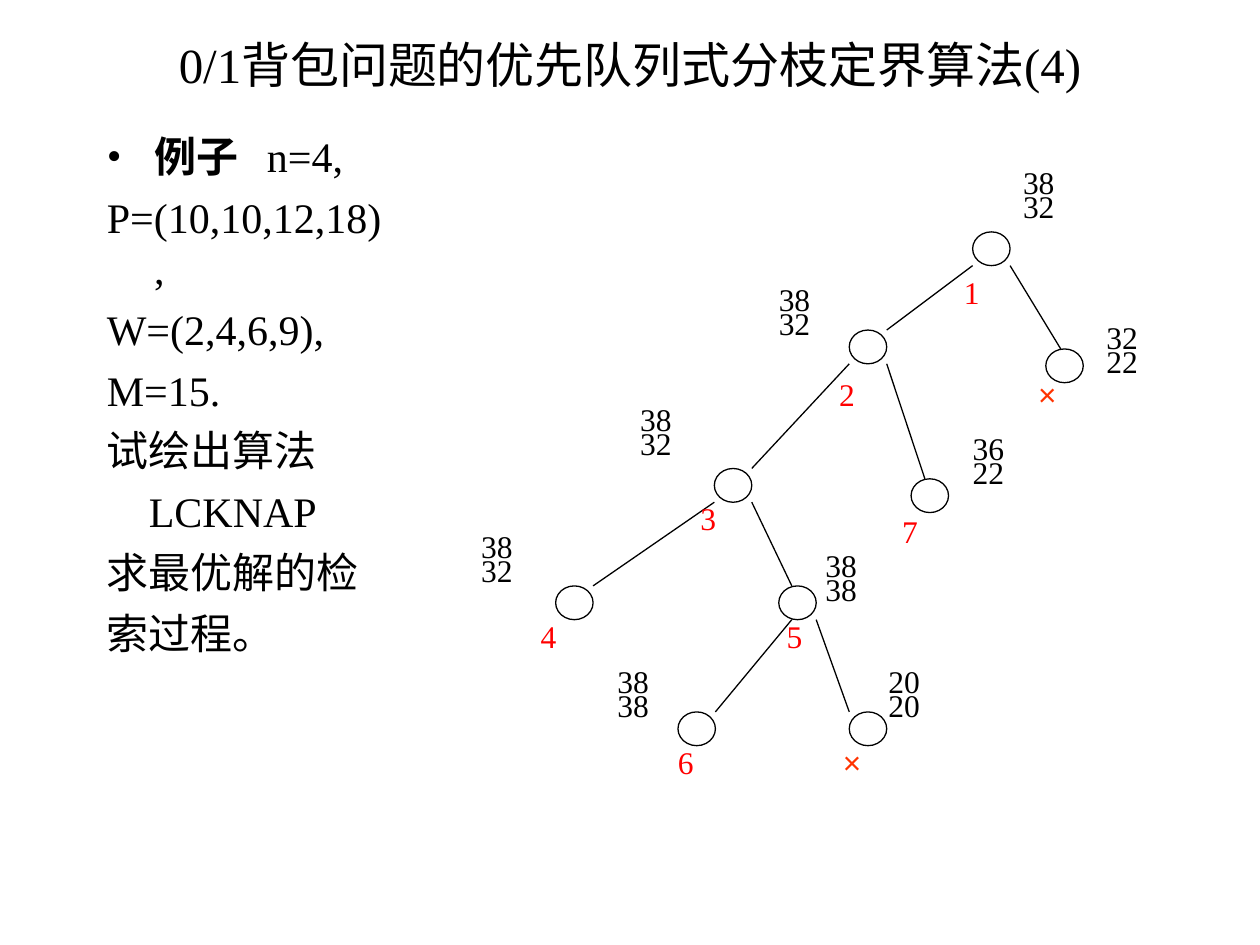
"""Build the slide on the priority-queue branch-and-bound search tree for 0/1 knapsack."""
from collections import namedtuple

from lxml import etree
from pptx import Presentation
from pptx.dml.color import RGBColor
from pptx.enum.shapes import MSO_CONNECTOR, MSO_SHAPE
from pptx.enum.text import MSO_ANCHOR, MSO_AUTO_SIZE, PP_ALIGN
from pptx.oxml.ns import qn
from pptx.util import Pt

BLACK = RGBColor(0x00, 0x00, 0x00)
RED = RGBColor(0xFF, 0x00, 0x00)
ORANGE = RGBColor(0xFF, 0x33, 0x00)
SERIF, SANS = "Times New Roman", "Arial"
ELLIPSE, STRAIGHT = MSO_SHAPE.OVAL, MSO_CONNECTOR.STRAIGHT
CENTER, JUSTIFY = PP_ALIGN.CENTER, PP_ALIGN.JUSTIFY
MIDDLE, NO_AUTOFIT = MSO_ANCHOR.MIDDLE, MSO_AUTO_SIZE.NONE

NODE_WIDTH, NODE_HEIGHT, LINE_WIDTH = 21.4, 19.3, 0.75
HANGING, LCKNAP_INDENT, EXAMPLE_TAB = 27, 24, 91.5

TITLE = "0/1背包问题的优先队列式分枝定界算法(4)"
PROBLEM_LINES = [
    "P=(10,10,12,18),", "W=(2,4,6,9),", "M=15.", "试绘出算法",
    "LCKNAP", "求最优解的检", "索过程。",
]

Node = namedtuple("Node", "left top bounds bounds_at mark mark_at")
NODES = {
    "1": Node(555.8, 132.5, ("38", "32"), (584.6, 100), "1", (550.8, 162.7)),
    "2": Node(485.3, 188.6, ("38", "32"), (445, 167), "2", (479.5, 221)),
    "3": Node(408.2, 267.7, ("38", "32"), (365.8, 235.4), "3", (400.3, 292.3)),
    "4": Node(317.5, 334.8, ("38", "32"), (275, 308.2), "4", (308.9, 359.3)),
    "5": Node(445, 334.8, ("38", "38"), (471.6, 319), "5", (449.5, 359.3)),
    "6": Node(387.4, 406.8, ("38", "38"), (352.8, 385.2), "6", (387.4, 431.3)),
    "7": Node(520.6, 273.6, ("36", "22"), (555.8, 252), "7", (515.5, 299.5)),
    "pruned right": Node(597.6, 199.4, ("32", "22"), (632.2, 188.6), "×", (593.3, 221)),
    "pruned below": Node(485.3, 406.8, ("20", "20"), (507.6, 385.2), "×", (481.7, 431.3)),
}
Branch = namedtuple("Branch", "parent exit_share child entry_share")
BRANCHES = [
    Branch("1", 0, "2", 1), Branch("1", 1, "pruned right", 0.4),
    Branch("2", 0, "3", 1), Branch("2", 1, "7", 0.37),
    Branch("3", 0, "4", 1), Branch("3", 1, "5", 0.35),
    Branch("5", 0.35, "6", 1), Branch("5", 1, "pruned below", 0),
]


def style_font(font, size, color=BLACK, name=SERIF):
    """Set size, colour and typeface."""
    font.size, font.name = Pt(size), name
    font.color.rgb = color


def set_indent(paragraph, margin, first_line):
    """Set the left margin and first-line indent of a paragraph."""
    properties = paragraph._p.get_or_add_pPr()
    properties.set("marL", str(Pt(margin)))
    properties.set("indent", str(Pt(first_line)))
    return properties


def add_title(slide):
    """Fill and place the title placeholder."""
    title = slide.shapes.title
    title.left, title.top, title.width, title.height = Pt(36), Pt(21.6), Pt(648), Pt(30.2)
    frame = title.text_frame
    frame.text = TITLE
    frame.auto_size, frame.vertical_anchor = NO_AUTOFIT, MIDDLE
    paragraph = frame.paragraphs[0]
    paragraph.alignment = CENTER
    style_font(paragraph.font, 28)


def add_problem(slide):
    """Write the example and its task down the left side."""
    frame = slide.shapes.add_textbox(Pt(54), Pt(71.3), Pt(175.7), Pt(436.3)).text_frame
    frame.word_wrap = True
    example = frame.paragraphs[0]
    heading = example.add_run()
    heading.text, heading.font.bold = "例子", True
    example.add_run().text = "\tn=4,"
    properties = set_indent(example, HANGING, -HANGING)
    etree.SubElement(properties, qn("a:buFont"), typeface=SERIF)
    etree.SubElement(properties, qn("a:buChar"), char="•")
    tabs = etree.SubElement(properties, qn("a:tabLst"))
    etree.SubElement(tabs, qn("a:tab"), pos=str(Pt(EXAMPLE_TAB)), algn="l")
    for line in PROBLEM_LINES:
        paragraph = frame.add_paragraph()
        paragraph.text = line
        if line == "LCKNAP":
            set_indent(paragraph, LCKNAP_INDENT, 0)
        else:
            set_indent(paragraph, HANGING, -HANGING)
    for paragraph in frame.paragraphs:
        paragraph.space_before = Pt(6)
        style_font(paragraph.font, 24)


def add_branch(slide, branch):
    """Draw a line from the foot of a parent to the top of its child."""
    parent, child = NODES[branch.parent], NODES[branch.child]
    line = slide.shapes.add_connector(
        STRAIGHT,
        Pt(parent.left + branch.exit_share * NODE_WIDTH), Pt(parent.top + NODE_HEIGHT),
        Pt(child.left + branch.entry_share * NODE_WIDTH), Pt(child.top))
    line.line.color.rgb, line.line.width = BLACK, Pt(LINE_WIDTH)
    etree.SubElement(line._element.spPr, qn("a:effectLst"))


def add_label(slide, lines, position, size, color=BLACK, font_name=SERIF):
    """Write tightly spaced lines beside a node."""
    left, top = position
    width, height = size
    frame = slide.shapes.add_textbox(Pt(left), Pt(top), Pt(width), Pt(height)).text_frame
    frame.word_wrap = True
    frame.margin_left = frame.margin_right = frame.margin_top = frame.margin_bottom = 0
    frame.text = "\n".join(lines)
    for paragraph in frame.paragraphs:
        paragraph.alignment, paragraph.line_spacing = JUSTIFY, 0.64
        style_font(paragraph.font, 18, color, font_name)


def add_node(slide, node):
    """Draw a tree node with its bounds and its visiting mark."""
    circle = slide.shapes.add_shape(
        ELLIPSE, Pt(node.left), Pt(node.top), Pt(NODE_WIDTH), Pt(NODE_HEIGHT))
    circle.shadow.inherit = False
    circle.fill.background()
    circle.line.color.rgb, circle.line.width = BLACK, Pt(LINE_WIDTH)
    add_label(slide, node.bounds, node.bounds_at, (34.6, 40.3))
    color, font_name = (ORANGE, SANS) if node.mark == "×" else (RED, SERIF)
    add_label(slide, [node.mark], node.mark_at, (25.9, 25.9), color, font_name)


def main():
    """Assemble and save the slide."""
    presentation = Presentation()
    presentation.slide_width, presentation.slide_height = Pt(720), Pt(540)
    slide = presentation.slides.add_slide(presentation.slide_layouts[5])
    add_title(slide)
    add_problem(slide)
    for branch in BRANCHES:
        add_branch(slide, branch)
    for node in NODES.values():
        add_node(slide, node)
    presentation.save("out.pptx")


if __name__ == "__main__":
    main()
